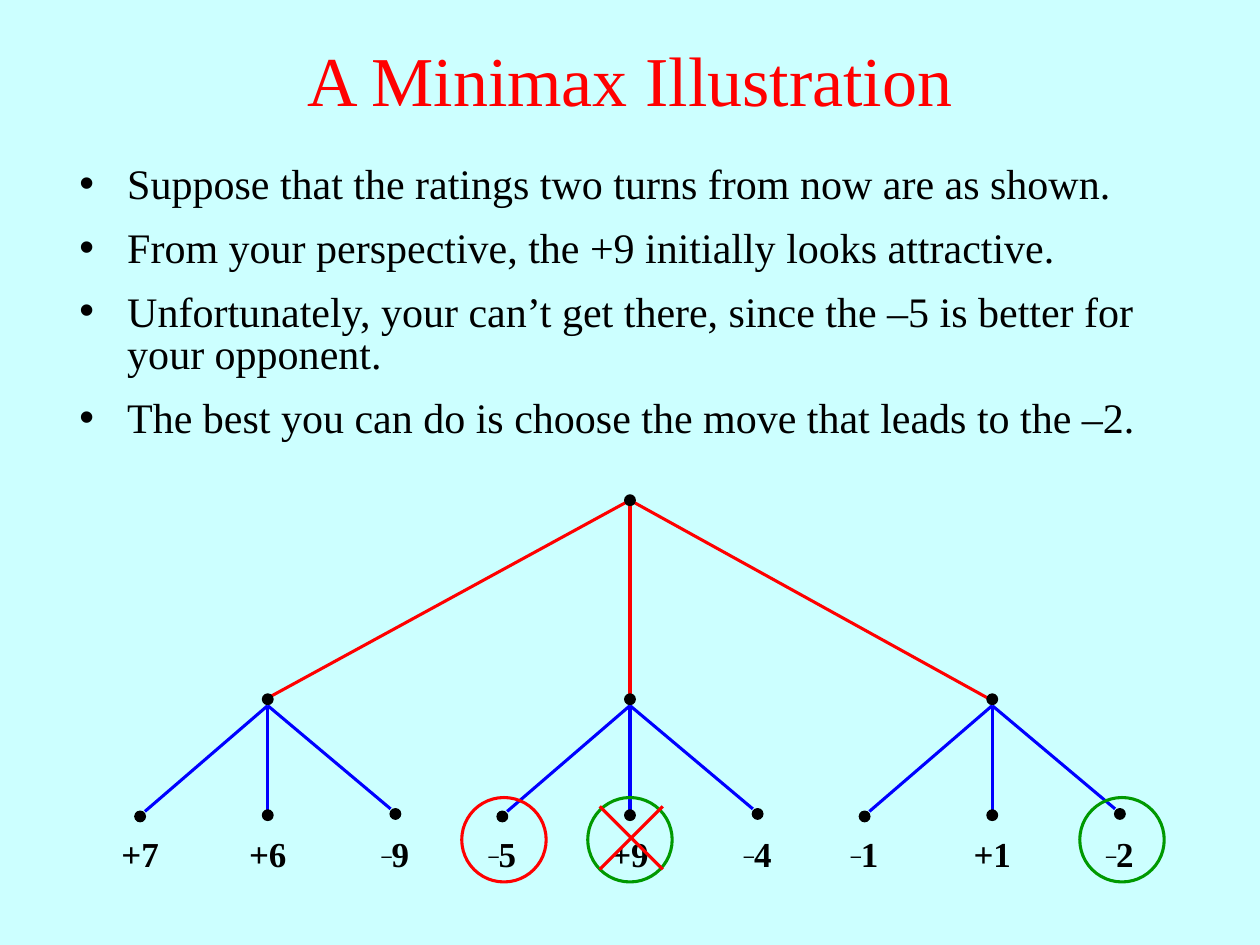
from lxml import etree
from pptx import Presentation
from pptx.dml.color import RGBColor
from pptx.enum.shapes import MSO_CONNECTOR, MSO_SHAPE
from pptx.enum.text import MSO_ANCHOR, MSO_AUTO_SIZE, PP_ALIGN
from pptx.oxml.ns import qn
from pptx.util import Inches, Pt

STRAIGHT, OVAL = MSO_CONNECTOR.STRAIGHT, MSO_SHAPE.OVAL
CENTER, LEFT = PP_ALIGN.CENTER, PP_ALIGN.LEFT
MIDDLE, TOP = MSO_ANCHOR.MIDDLE, MSO_ANCHOR.TOP
NO_FIT = MSO_AUTO_SIZE.NONE

PALE_CYAN = RGBColor(0xCC, 0xFF, 0xFF)
BLACK = RGBColor(0x00, 0x00, 0x00)
RED = RGBColor(0xFF, 0x00, 0x00)
BLUE = RGBColor(0x00, 0x00, 0xFF)
GREEN = RGBColor(0x00, 0x99, 0x00)

COLUMNS, ROWS = 100, 75
BULLETS = [
    "Suppose that the ratings two turns from now are as shown.",
    "From your perspective, the +9 initially looks attractive.",
    "Unfortunately, your can’t get there, since the –5 is better for your opponent.",
    "The best you can do is choose the move that leads to the –2.",
]

# Tree geometry in grid columns and rows
ROOT = (50, 39.7)
BRANCH_Y = 55.5
BRANCHES = [(21.25, 55.4), (50, 55.5), (78.75, 55.6)]  # x, end of the edge from the root
LEAVES = [(-1, 64.8), (0, 64.7), (1, 64.6)]  # side, y
RATINGS = [["+7", "+6", "–9"], ["–5", "+9", "–4"], ["–1", "+1", "–2"]]
LEAF_GAP, EDGE_GAP = 10.13, 9.75


class SlideKit:
    """Style and current slide; all lengths are grid columns and rows."""

    font_name = "Times New Roman"
    line_width = Pt(1.75)

    def __init__(self, prs):
        self.col = prs.slide_width / COLUMNS
        self.row = prs.slide_height / ROWS
        self.slide = prs.slides.add_slide(prs.slide_layouts[1])
        self.shapes = self.slide.shapes
        fill = self.slide.background.fill
        fill.solid()
        fill.fore_color.rgb = PALE_CYAN

    def grid(self, *lengths):
        return [round(n * (self.row if i % 2 else self.col)) for i, n in enumerate(lengths)]

    def place(self, sp, *box):
        sp.left, sp.top, sp.width, sp.height = self.grid(*box)

    def style(self, font, size, color, bold=False):
        for name, value in dict(name=self.font_name, size=Pt(size), bold=bold).items():
            setattr(font, name, value)
        font.color.rgb = color

    def frame(self, sp, anchor):
        tf = sp.text_frame
        for name, value in dict(word_wrap=True, auto_size=NO_FIT, vertical_anchor=anchor).items():
            setattr(tf, name, value)
        return tf

    def title(self, text, *box):
        sp = self.shapes.title
        self.place(sp, *box)
        p = self.frame(sp, MIDDLE).paragraphs[0]
        p.text, p.alignment = text, CENTER
        self.style(p.runs[0].font, 40, RED)

    def bullets(self, items, *box):
        sp = self.shapes.placeholders[1]
        self.place(sp, *box)
        tf = self.frame(sp, TOP)
        layout = dict(alignment=LEFT, line_spacing=0.85, space_before=Pt(0), space_after=Pt(12))
        for i, item in enumerate(items):
            p = tf.add_paragraph() if i else tf.paragraphs[0]
            p.text = item
            for name, value in layout.items():
                setattr(p, name, value)
            pPr = p._p.get_or_add_pPr()
            pPr.set("marL", str(Inches(0.38)))
            pPr.set("indent", str(-Inches(0.38)))
            etree.SubElement(pPr, qn("a:buChar"), char="•")
            self.style(p.runs[0].font, 24, BLACK)

    def line(self, start, end, color):
        c = self.shapes.add_connector(STRAIGHT, *self.grid(*start, *end))
        c.line.color.rgb = color
        c.line.width = self.line_width
        etree.SubElement(c._element.spPr, qn("a:effectLst"))

    def circle(self, x, y, size, color, filled=False):
        box = self.grid(x - size / 2, y - size / 2, size, size)
        sp = self.shapes.add_shape(OVAL, *box)
        sp.shadow.inherit = False
        if filled:
            sp.fill.solid()
            sp.fill.fore_color.rgb = color
        else:
            sp.fill.background()
        sp.line.color.rgb = color
        sp.line.width = Pt(0.75) if filled else self.line_width

    def dot(self, x, y):
        self.circle(x, y, 0.84, BLACK, filled=True)

    def rating(self, text, x):
        sp = self.shapes.add_textbox(*self.grid(x - 3.75, 65.6, 7.5, 4.3))
        p = self.frame(sp, TOP).paragraphs[0]
        p.alignment = CENTER
        for part in text if text.startswith("–") else [text]:
            r = p.add_run()
            r.text = part
            self.style(r.font, 20, BLACK, bold=True)
            if part == "–":  # raised minus sign
                r._r.get_or_add_rPr().set("baseline", "15000")


def main():
    prs = Presentation()
    prs.slide_width, prs.slide_height = Inches(10), Inches(7.5)
    s = SlideKit(prs)

    # Heading and list
    s.title("A Minimax Illustration", 0, 0, 100, 12.5)
    s.bullets(BULLETS, 5.3, 12.6, 88.9, 56.5)

    # Your moves
    for x, end_y in BRANCHES:
        s.line((x, end_y), ROOT, RED)
    s.dot(*ROOT)

    # Opponent's replies with their ratings
    for (x, _), ratings in zip(BRANCHES, RATINGS):
        for (side, y), text in zip(LEAVES, ratings):
            s.line((x + side * EDGE_GAP, y - 0.4), (x, 56), BLUE)
            s.dot(x + side * LEAF_GAP, y)
            s.rating(text, x + side * LEAF_GAP)
        s.dot(x, BRANCH_Y)

    # Rings around the ratings discussed
    for x, color in [(50, GREEN), (89.05, GREEN), (40, RED)]:
        s.circle(x, 66.65, 6.7, color)

    # Cross over the unreachable rating
    s.line((47.6, 64), (52.6, 69), RED)
    s.line((47.6, 69), (52.6, 64), RED)

    prs.save("out.pptx")


if __name__ == "__main__":
    main()
